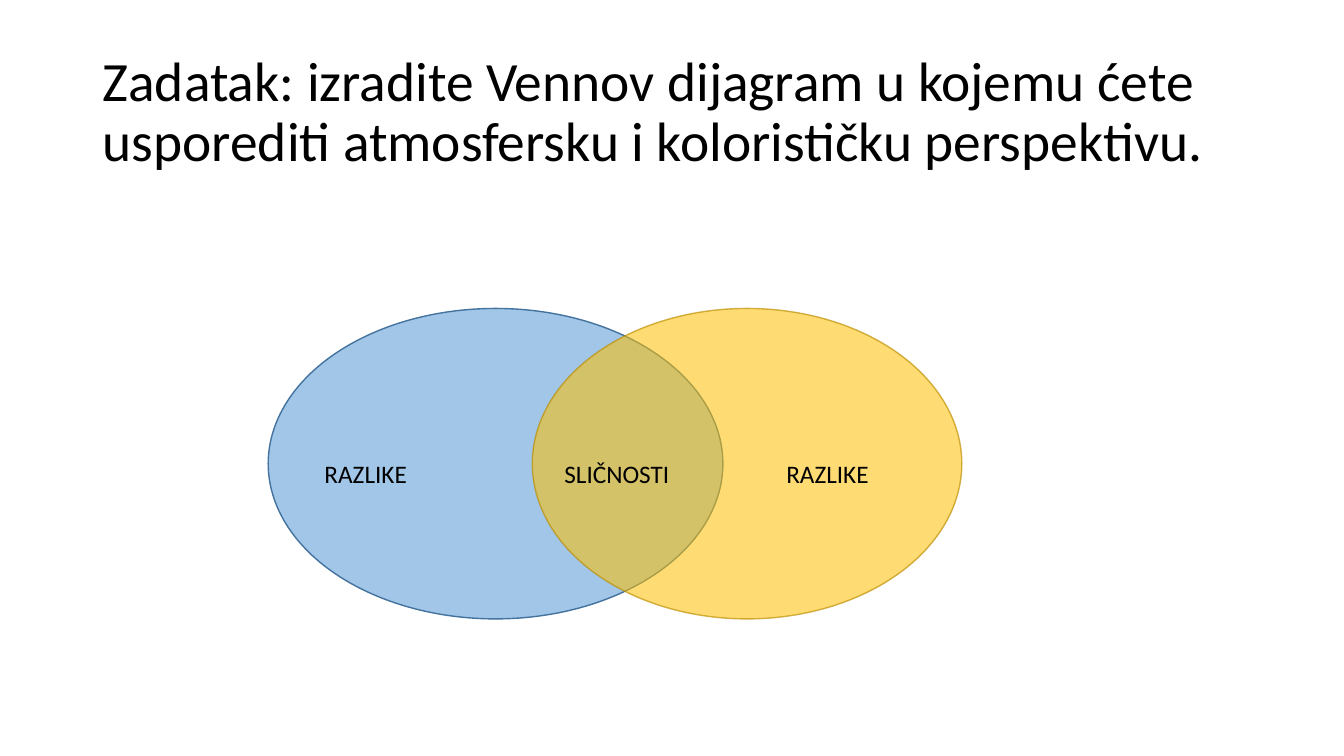
from lxml import etree
from pptx import Presentation
from pptx.dml.color import RGBColor
from pptx.enum.shapes import MSO_SHAPE
from pptx.enum.text import MSO_ANCHOR, MSO_AUTO_SIZE
from pptx.oxml.ns import qn
from pptx.util import Inches, Pt


def rgb(hex_color):
    return RGBColor.from_string(hex_color)


def set_alpha(fill, percent):
    """Make a solid fill (of a shape or a line) show at the given opacity."""
    color = fill._xPr.find(qn("a:solidFill"))[0]
    etree.SubElement(color, qn("a:alpha"), val=str(percent * 1000))


class VennSlide:
    font = "Calibri"
    text_color = "000000"

    def __init__(self, prs):
        self.slide = prs.slides.add_slide(prs.slide_layouts[6])

    def text(self, text, left, top, width, height, size,
             anchor=MSO_ANCHOR.TOP, spacing=1.0, auto_size=MSO_AUTO_SIZE.NONE):
        box = self.slide.shapes.add_textbox(
            Inches(left), Inches(top), Inches(width), Inches(height))
        tf = box.text_frame
        tf.word_wrap = True
        tf.auto_size = auto_size
        tf.vertical_anchor = anchor
        p = tf.paragraphs[0]
        p.line_spacing = spacing
        r = p.add_run()
        r.text = text
        r.font.name = self.font
        r.font.size = Pt(size)
        r.font.color.rgb = rgb(self.text_color)

    def title(self, text):
        self.text(text, 0.92, 0.4, 11.5, 1.45, 39.6, MSO_ANCHOR.MIDDLE, 0.9)

    def label(self, text, left, width):
        self.text(text, left, 4.5, width, 0.4, 18,
                  auto_size=MSO_AUTO_SIZE.SHAPE_TO_FIT_TEXT)

    def ellipse(self, left, width, fill, fill_alpha, line, line_alpha=100):
        sp = self.slide.shapes.add_shape(
            MSO_SHAPE.OVAL, Inches(left), Inches(3.06), Inches(width), Inches(3.08))
        sp.shadow.inherit = False
        sp.fill.solid()
        sp.fill.fore_color.rgb = rgb(fill)
        set_alpha(sp.fill, fill_alpha)
        sp.line.width = Pt(1)
        sp.line.color.rgb = rgb(line)
        set_alpha(sp.line.fill, line_alpha)


def main():
    prs = Presentation()
    prs.slide_width, prs.slide_height = Inches(13.33), Inches(7.5)

    venn = VennSlide(prs)
    venn.title("Zadatak: izradite Vennov dijagram u kojemu ćete "
               "usporediti atmosfersku i kolorističku perspektivu.")
    venn.ellipse(2.66, 4.51, "5B9BD5", 57, "43739E")
    venn.ellipse(5.28, 4.26, "FFC000", 55, "BD8E00", 67)
    for text, left, width in (("SLIČNOSTI", 5.5, 1.4),
                              ("RAZLIKE", 7.7, 1.99),
                              ("RAZLIKE", 3.12, 2.16)):
        venn.label(text, left, width)

    prs.save("out.pptx")


if __name__ == "__main__":
    main()
